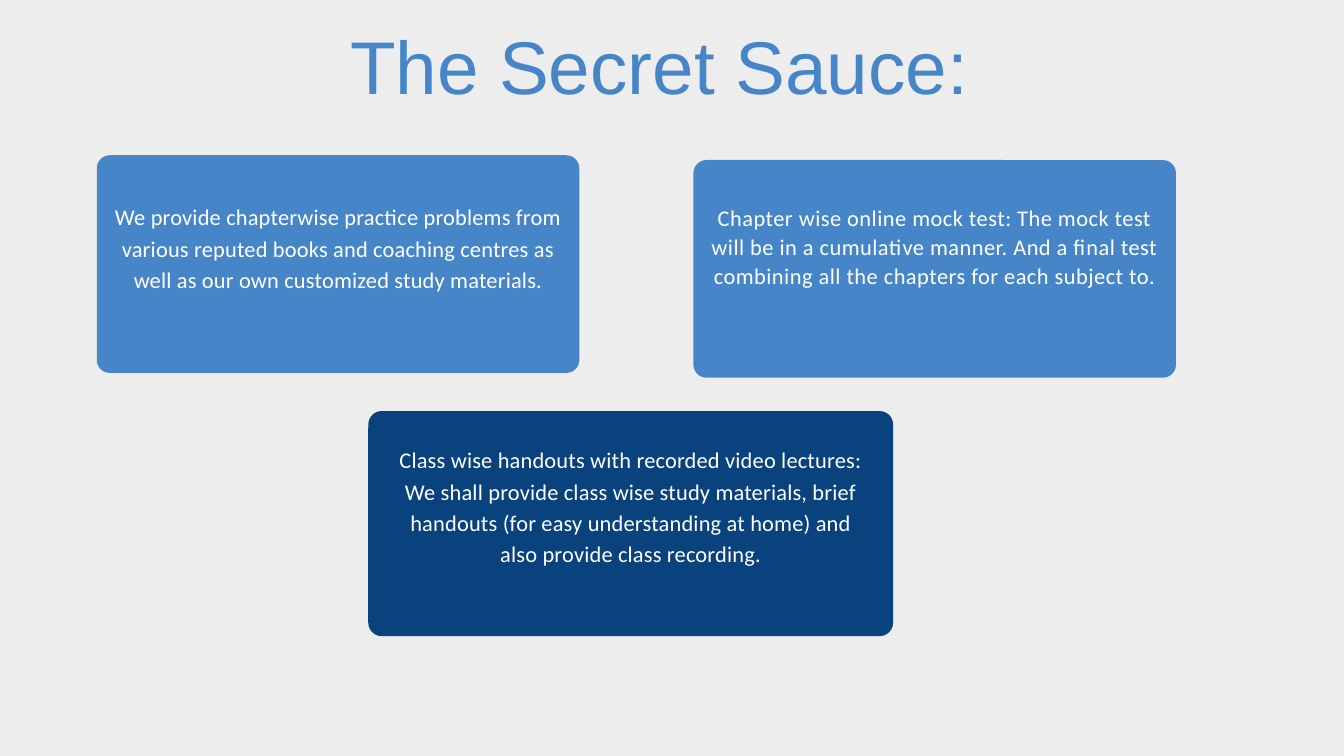
from dataclasses import dataclass

from pptx import Presentation
from pptx.dml.color import RGBColor
from pptx.enum.shapes import MSO_SHAPE
from pptx.enum.text import MSO_ANCHOR, MSO_AUTO_SIZE, PP_ALIGN
from pptx.util import Cm, Pt

ROUNDED = MSO_SHAPE.ROUNDED_RECTANGLE
TOP = MSO_ANCHOR.TOP
NO_AUTOFIT = MSO_AUTO_SIZE.NONE
LEFT, CENTER = PP_ALIGN.LEFT, PP_ALIGN.CENTER
TITLE_ONLY = 5


@dataclass(frozen=True)
class Theme:
    """Colours, fonts and type sizes of the slide."""
    background: RGBColor = RGBColor(0xED, 0xED, 0xED)
    blue: RGBColor = RGBColor(0x46, 0x86, 0xC8)
    navy: RGBColor = RGBColor(0x09, 0x42, 0x7D)
    white: RGBColor = RGBColor(0xFF, 0xFF, 0xFF)
    title_font: str = "Arial"
    body_font: str = "Calibri"
    title_size: Pt = Pt(80)
    body_size: Pt = Pt(24)
    corner: float = 0.06


THEME = Theme()

FRAME_FORMAT = {
    "margin_left": 0,
    "margin_top": 0,
    "margin_right": 0,
    "margin_bottom": 0,
    "word_wrap": True,
    "auto_size": NO_AUTOFIT,
    "vertical_anchor": TOP,
}
TITLE_FORMAT = {"name": THEME.title_font, "size": THEME.title_size}
BODY_FORMAT = {"name": THEME.body_font, "size": THEME.body_size}

OFFERINGS = [
    {
        "box": (3.66, 5.87, 18.24, 8.23),
        "color": THEME.blue,
        "inner": (1.65, 17.78, 4.78),
        "leading": 33.6,
        "tracking": 0.2,
        "text": "We provide chapterwise practice problems from various reputed "
                "books and coaching centres as well as our own customized "
                "study materials.",
    },
    {
        "box": (26.21, 6.05, 18.24, 8.23),
        "color": THEME.blue,
        "inner": (1.57, 17.37, 4.42),
        "leading": 31.4,
        "tracking": 0.5,
        "text": "Chapter wise online mock test: The mock test will be in a "
                "cumulative manner. And a final test combining all the "
                "chapters for each subject to.",
    },
    {
        "box": (13.92, 15.54, 19.84, 8.51),
        "color": THEME.navy,
        "inner": (1.17, 17.78, 5.97),
        "leading": 33.6,
        "tracking": 0.2,
        "text": "Class wise handouts with recorded video lectures: We shall "
                "provide class wise study materials, brief handouts (for easy "
                "understanding at home) and also provide class recording.",
    },
]


def apply_format(target, values):
    """Set every attribute named in values on target."""
    for attribute, value in values.items():
        setattr(target, attribute, value)


def write_text(frame, text, font_format, color, align, leading, tracking=0):
    """Fill a text frame with one formatted paragraph."""
    apply_format(frame, FRAME_FORMAT)
    paragraph = frame.paragraphs[0]
    apply_format(paragraph, {"alignment": align, "line_spacing": Pt(leading)})
    run = paragraph.add_run()
    run.text = text
    apply_format(run.font, font_format)
    run.font.color.rgb = color
    if tracking:
        run._r.get_or_add_rPr().set("spc", str(round(tracking * 100)))


def place_title(slide, box, text):
    """Move the title placeholder into box and write the heading."""
    heading = slide.shapes.title
    lengths = map(Cm, box)
    apply_format(heading, dict(zip(("left", "top", "width", "height"), lengths)))
    write_text(heading.text_frame, text, TITLE_FORMAT, THEME.blue, LEFT, 88)


def place_offering(slide, box, color, inner, leading, tracking, text):
    """Draw a rounded card in box with its text centred across it."""
    left, top, width, height = box
    drop, text_width, text_height = inner
    card = slide.shapes.add_shape(ROUNDED, *map(Cm, box))
    card.adjustments[0] = THEME.corner
    card.shadow.inherit = False
    card.fill.solid()
    card.fill.fore_color.rgb = color
    card.line.fill.background()

    indent = (width - text_width) / 2
    inner_box = (left + indent, top + drop, text_width, text_height)
    description = slide.shapes.add_textbox(*map(Cm, inner_box))
    write_text(description.text_frame, text, BODY_FORMAT, THEME.white, CENTER,
               leading, tracking)


def main():
    """Build and save the slide."""
    deck = Presentation()
    deck.slide_width, deck.slide_height = Cm(50.8), Cm(28.58)
    slide = deck.slides.add_slide(deck.slide_layouts[TITLE_ONLY])
    slide.background.fill.solid()
    slide.background.fill.fore_color.rgb = THEME.background
    place_title(slide, (13.23, 1.02, 24.31, 3.35), "The Secret Sauce:")
    for offering in OFFERINGS:
        place_offering(slide, **offering)
    deck.save("out.pptx")


if __name__ == "__main__":
    main()
